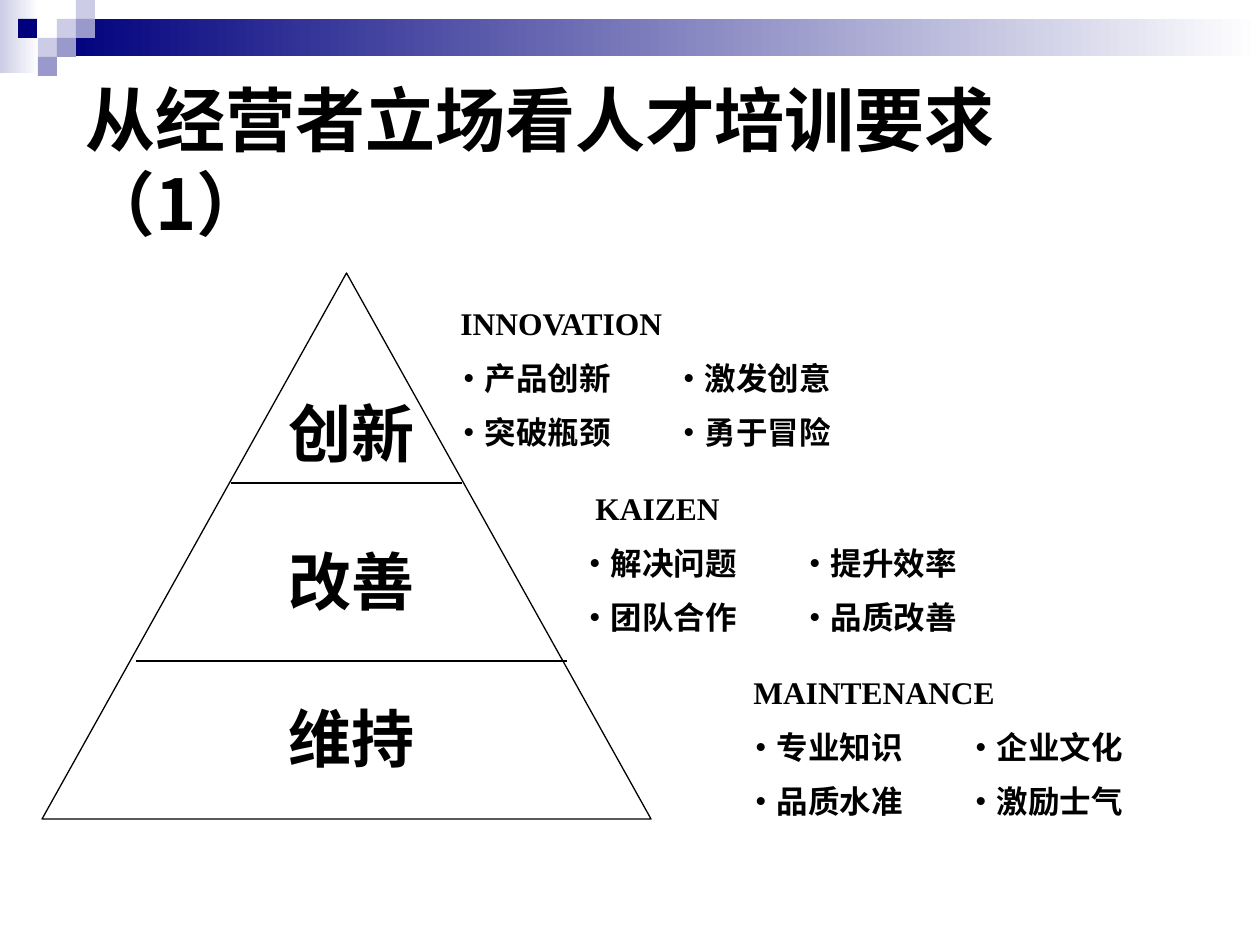
"""Build the slide on talent training as a three-level pyramid."""
from lxml.etree import SubElement
from pptx import Presentation
from pptx.dml.color import RGBColor
from pptx.enum.shapes import MSO_CONNECTOR, MSO_SHAPE
from pptx.enum.text import MSO_ANCHOR, MSO_AUTO_SIZE, PP_ALIGN
from pptx.oxml.ns import qn
from pptx.util import Pt

SCALE = 914400 / 126
SANS, SERIF = "Noto Sans CJK SC", "Times New Roman"


def px(*nums):
    return [round(n * SCALE) for n in nums]


def write(para, text, size, face):
    run = para.add_run()
    run.text = text
    run.font.size = Pt(size)
    run.font.bold = True
    run.font.name = face
    run.font.color.rgb = RGBColor.from_string("000000")
    SubElement(run.font._element, qn("a:ea")).set("typeface", SANS)


deck = Presentation()
deck.slide_width, deck.slide_height = px(1260, 945)
slide = deck.slides.add_slide(deck.slide_layouts[5])
shapes = slide.shapes

bands = [(0, 0, 39, 73, "CCCCE6"), (57, 19, 1203, 37, "00007D")]
tiles = [
    (57, 19, "CCCCE6"), (76, 0, "CCCCE6"), (76, 19, "9999CC"), (38, 38, "CCCCE6"),
    (18, 19, "00007D"), (57, 38, "9999CC"), (38, 57, "9999CC"),
]
for x, y, wide, high, hue in bands:
    band = shapes.add_shape(MSO_SHAPE.RECTANGLE, *px(x, y, wide, high))
    band.shadow.inherit = False
    band.line.fill.background()
    band.fill.gradient()
    band.fill.gradient_angle = 0
    for stop, tone in zip(band.fill.gradient_stops, (hue, "FFFFFF")):
        stop.color.rgb = RGBColor.from_string(tone)
for x, y, hue in tiles:
    tile = shapes.add_shape(MSO_SHAPE.RECTANGLE, *px(x, y, 19, 19))
    tile.shadow.inherit = False
    tile.line.fill.background()
    tile.fill.solid()
    tile.fill.fore_color.rgb = RGBColor.from_string(hue)

title = shapes.title
title.left, title.top, title.width, title.height = px(73, 92, 1097, 136)
frame = title.text_frame
frame.auto_size = MSO_AUTO_SIZE.NONE
frame.vertical_anchor = MSO_ANCHOR.MIDDLE
frame.paragraphs[0].alignment = PP_ALIGN.LEFT
write(frame.paragraphs[0], "从经营者立场看人才培训要求（1）", 40, SANS)

cone = shapes.add_shape(MSO_SHAPE.ISOSCELES_TRIANGLE, *px(42, 273, 609, 546))
cone.shadow.inherit = False
cone.fill.background()
cone.line.color.rgb = RGBColor.from_string("000000")
cone.line.width = Pt(0.75)

for left, right, y in [(136, 567, 661), (231, 462, 483)]:
    rule = shapes.add_connector(MSO_CONNECTOR.STRAIGHT, *px(left, y, right, y))
    rule.line.color.rgb = RGBColor.from_string("000000")
    rule.line.width = Pt(0.75)
    SubElement(rule._element.spPr, qn("a:effectLst"))

for y, name in [(388, "创新"), (536, "改善"), (693, "维持")]:
    label = shapes.add_textbox(*px(262, y, 179, 88)).text_frame
    label.word_wrap = True
    label.paragraphs[0].alignment = PP_ALIGN.CENTER
    write(label.paragraphs[0], name, 36, SERIF)

levels = [
    (441, 305, 7, 0.8, "INNOVATION",
     [("产品创新", "激发创意"), ("突破瓶颈", "勇于冒险")]),
    (567, 483, 16, 1.0, "KAIZEN",
     [("解决问题", "提升效率"), ("团队合作", "品质改善")]),
    (733, 667, 8, 1.0, "MAINTENANCE",
     [("专业知识", "企业文化"), ("品质水准", "激励士气")]),
]
for x, y, indent, lead, head, rows in levels:
    notes = shapes.add_textbox(*px(x, y, 451, 158)).text_frame
    notes.word_wrap = True
    para = notes.paragraphs[0]
    para.line_spacing = lead
    para._p.get_or_add_pPr().set("marL", str(px(indent)[0]))
    write(para, head, 18, SERIF)
    for pair in rows:
        para = notes.add_paragraph()
        para.line_spacing = 0.7
        para.space_before = Pt(15.8)
        tabs = SubElement(para._p.get_or_add_pPr(), qn("a:tabLst"))
        SubElement(tabs, qn("a:tab"), pos=str(px(220)[0]), algn="l")
        write(para, "\t".join("‧" + item for item in pair), 18, SERIF)

deck.save("out.pptx")
